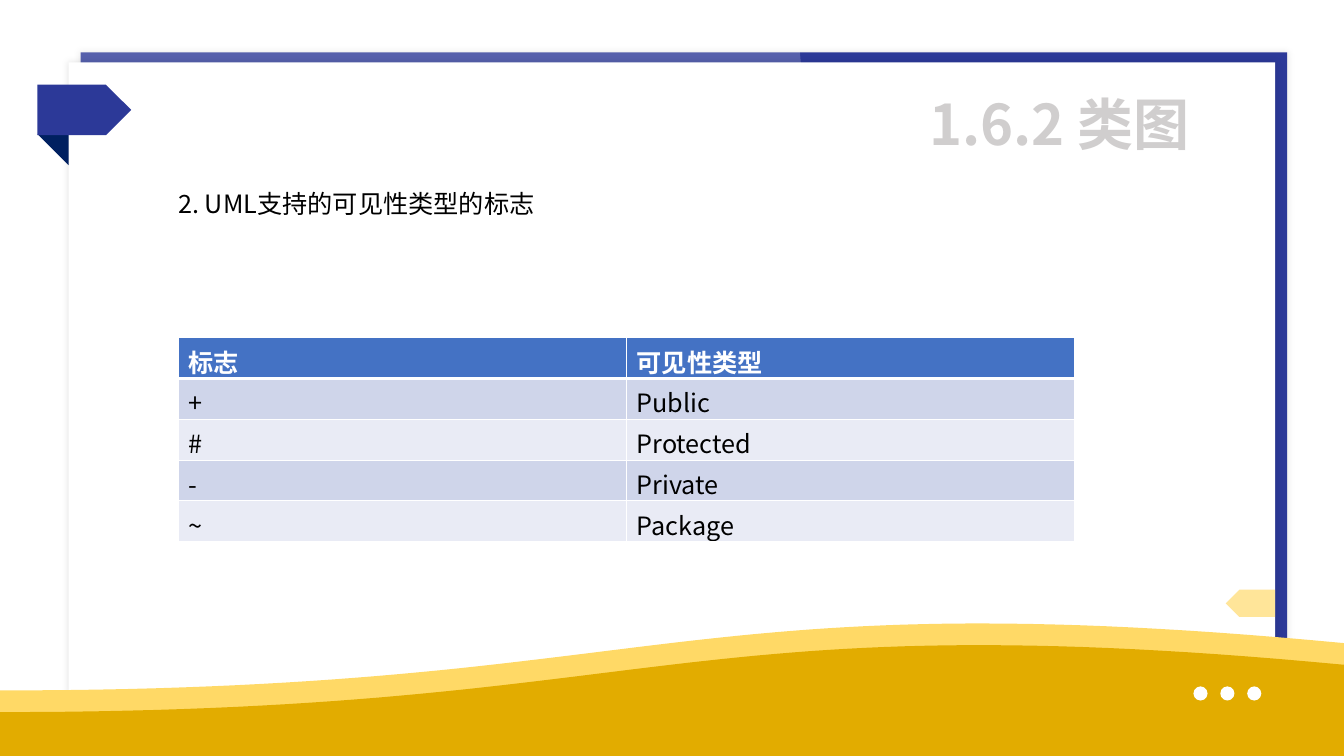
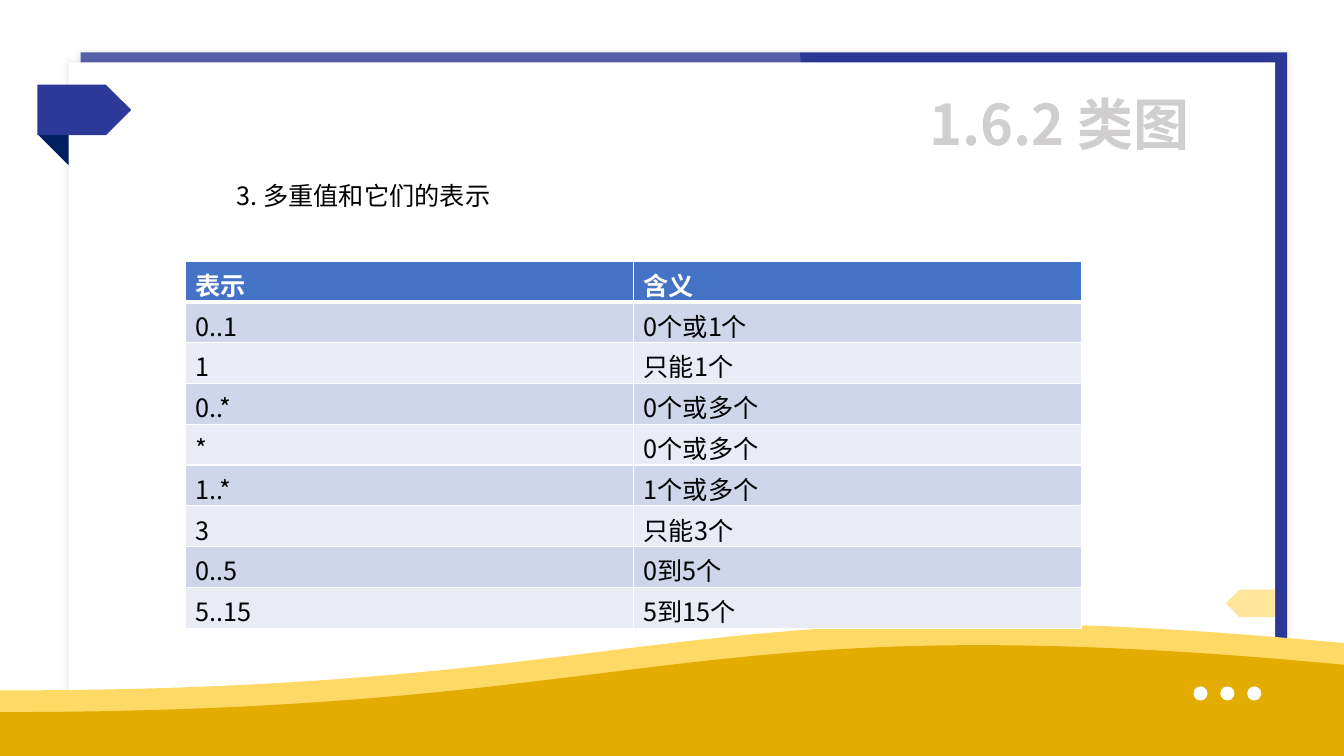
from lxml import etree
from pptx import Presentation
from pptx.dml.color import RGBColor
from pptx.enum.shapes import MSO_SHAPE
from pptx.oxml.ns import qn
from pptx.util import Inches, Pt

RECTANGLE = MSO_SHAPE.RECTANGLE
DOCUMENT = MSO_SHAPE.FLOWCHART_DOCUMENT
ELLIPSE = MSO_SHAPE.OVAL
TRIANGLE = MSO_SHAPE.RIGHT_TRIANGLE
TAG = MSO_SHAPE.PENTAGON

SLIDE_WIDTH, SLIDE_HEIGHT = Inches(13.33), Inches(7.5)
FONT = "Noto Sans CJK SC"
WHITE, BLACK, BLUE, NAVY = "FFFFFF", "000000", "2C3998", "002060"
LIGHT_GOLD, GOLD, AMBER = "FFD966", "E2AC00", "FFC000"
TITLE_GREY, HEADER_BLUE = "D0CECE", "4472C4"
BANDS = ("CFD5EA", "E9EBF5")

CARD_LEFT, CARD_TOP = 5.1, 8.27
CARD_WIDTH, CARD_HEIGHT = 89.78, 83.6
ROW_HEIGHT = 5.4
TABLE_WIDTH = 66.68
WAVE_STEPS = 60

TITLE = "1.6.2 类图"
VISIBILITY = [
    ("标志", "可见性类型"),
    ("+", "Public"),
    ("#", "Protected"),
    ("-", "Private"),
    ("~", "Package"),
]
MULTIPLICITY = [
    ("表示", "含义"),
    ("0..1", "0个或1个"),
    ("1", "只能1个"),
    ("0..*", "0个或多个"),
    ("*", "0个或多个"),
    ("1..*", "1个或多个"),
    ("3", "只能3个"),
    ("0..5", "0到5个"),
    ("5..15", "5到15个"),
]


def rgb(color):
    return RGBColor.from_string(color)


def across(percent):
    return round(SLIDE_WIDTH * percent / 100)


def down(percent):
    return round(SLIDE_HEIGHT * percent / 100)


def area(left, top, width, height):
    """Turn percentages of the slide into a position and a size."""
    return across(left), down(top), across(width), down(height)


def paint(shape, color, opacity=100):
    shape.shadow.inherit = False
    shape.line.fill.background()
    shape.fill.solid()
    shape.fill.fore_color.rgb = rgb(color)
    if opacity < 100:
        fill_color = shape._element.spPr.find(qn("a:solidFill"))[0]
        etree.SubElement(fill_color, qn("a:alpha"), val=str(opacity * 1000))


def add_block(slide, kind, place, color, opacity=100, rotation=0):
    block = slide.shapes.add_shape(kind, *area(*place))
    block.rotation = rotation
    paint(block, color, opacity)
    return block


def add_glow(shape):
    """Give the shape a soft, centred shadow."""
    effects = shape._element.spPr.find(qn("a:effectLst"))
    shadow = etree.SubElement(effects, qn("a:outerShdw"), blurRad=str(Pt(5)),
                              dist="0", dir="0", algn="ctr", rotWithShape="0")
    shade = etree.SubElement(shadow, qn("a:srgbClr"), val=BLACK)
    etree.SubElement(shade, qn("a:alpha"), val="10000")


def bezier(start, first, second, end, t):
    u = 1 - t
    return u**3 * start + 3 * u * u * t * first + 3 * u * t * t * second + t**3 * end


def add_wave(slide, drop, color):
    """Fill the slide's foot below a curve moved down by drop."""
    curve = []
    for step in range(WAVE_STEPS + 1):
        t = step / WAVE_STEPS
        curve.append((across(bezier(0, 50, 50, 100, t)),
                      down(bezier(91.33, 91.33, 76.67, 85.07, t) + drop)))
    outline = slide.shapes.build_freeform(0, SLIDE_HEIGHT)
    outline.add_line_segments(curve + [(SLIDE_WIDTH, SLIDE_HEIGHT)], close=True)
    paint(outline.convert_to_shape(), color)


def write(frame, text, size=18, color=BLACK, bold=False):
    frame.word_wrap = True
    run = frame.paragraphs[0].add_run()
    run.text = text
    run.font.size = Pt(size)
    run.font.bold = bold
    run.font.color.rgb = rgb(color)
    run.font.name = FONT
    etree.SubElement(run._r.get_or_add_rPr(), qn("a:ea"), typeface=FONT)


def add_text(slide, place, text, **style):
    write(slide.shapes.add_textbox(*area(*place)).text_frame, text, **style)


def add_borders(cell, top, bottom):
    properties = cell._tc.get_or_add_tcPr()
    for side, width in (("L", 1), ("R", 1), ("T", top), ("B", bottom)):
        border = etree.SubElement(properties, qn(f"a:ln{side}"), w=str(Pt(width)))
        fill = etree.SubElement(border, qn("a:solidFill"))
        etree.SubElement(fill, qn("a:srgbClr"), val=WHITE)


def add_grid(slide, left, top, rows):
    place = area(left, top, TABLE_WIDTH, ROW_HEIGHT * len(rows))
    table = slide.shapes.add_table(len(rows), len(rows[0]), *place).table
    table.horz_banding = False
    for r, entries in enumerate(rows):
        header = r == 0
        for c, entry in enumerate(entries):
            cell = table.cell(r, c)
            add_borders(cell, top=3 if r == 1 else 1, bottom=3 if header else 1)
            cell.fill.solid()
            cell.fill.fore_color.rgb = rgb(HEADER_BLUE if header else BANDS[(r - 1) % 2])
            write(cell.text_frame, entry, color=WHITE if header else BLACK, bold=header)


def add_frame(slide):
    """Draw the card, waves, dots and tags that every slide has."""
    add_glow(add_block(slide, RECTANGLE, (6, 6.93, CARD_WIDTH, CARD_HEIGHT), BLUE))
    add_block(slide, DOCUMENT, (8.93, -15.73, 56.18, 131.6), WHITE, opacity=20, rotation=270)
    card = (CARD_LEFT, CARD_TOP, CARD_WIDTH, CARD_HEIGHT)
    add_glow(add_block(slide, RECTANGLE, card, WHITE))
    add_wave(slide, 0, LIGHT_GOLD)
    add_wave(slide, 2.87, GOLD)
    for dot in range(3):
        add_block(slide, ELLIPSE, (88.8 + 2 * dot, 90.8, 1.05, 1.87), WHITE)
    add_block(slide, TRIANGLE, (2.78, 17.73, 2.33, 4.13), NAVY, rotation=180)
    add_block(slide, TAG, (2.78, 11.2, 6.98, 6.67), BLUE)
    add_block(slide, TAG, (91.2, 78, 3.68, 3.6), AMBER, opacity=40, rotation=180)


def add_table_slide(deck, heading, heading_place, table_left, table_top, rows):
    slide = deck.slides.add_slide(deck.slide_layouts[6])
    add_frame(slide)
    add_text(slide, heading_place, heading)
    add_grid(slide, table_left, table_top, rows)
    add_text(slide, (68.4, 11.2, 25.28, 10.27), TITLE, size=40, color=TITLE_GREY, bold=True)


def main():
    deck = Presentation()
    deck.slide_width, deck.slide_height = SLIDE_WIDTH, SLIDE_HEIGHT
    add_table_slide(deck, "2. UML支持的可见性类型的标志", (12.53, 24.27, 28.05, 5.33),
                    13.28, 44.67, VISIBILITY)
    add_table_slide(deck, "3. 多重值和它们的表示", (16.88, 23.2, 20.48, 5.33),
                    13.8, 34.53, MULTIPLICITY)
    deck.save("out.pptx")


if __name__ == "__main__":
    main()
